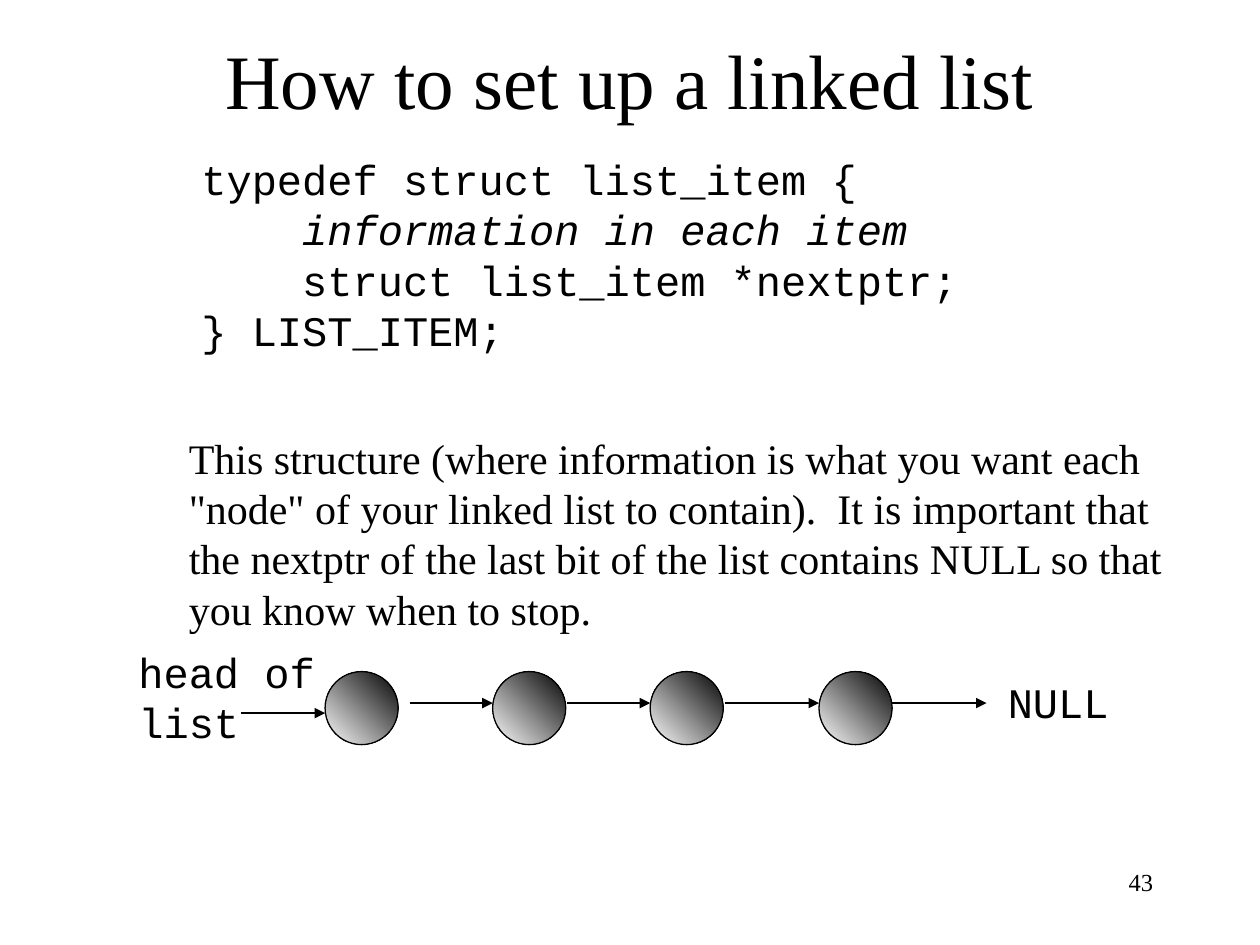
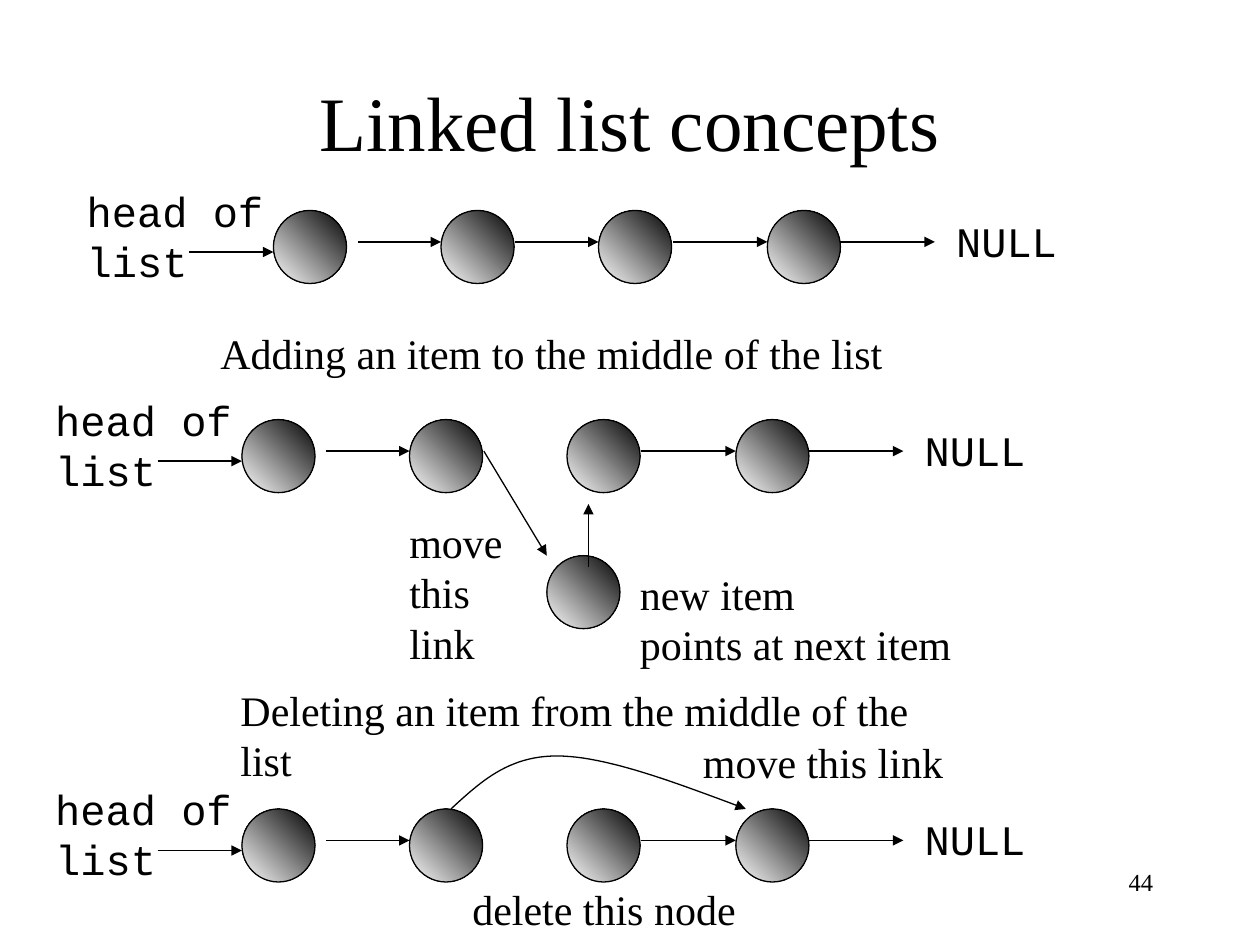
from lxml import etree
from pptx import Presentation
from pptx.dml.color import RGBColor
from pptx.enum import shapes, text
from pptx.oxml.ns import qn
from pptx.util import Inches, Pt

COLORS = {"ink": "000000", "shade_start": "000000", "shade_end": "FFFFFF"}
SERIF, MONO = "Times New Roman", "Courier New"

NODE_SIZE = 0.58
NODE_OFFSETS = (0, 1.33, 2.58, 3.92)
LINK_DROP = 0.25
# Start and end of each link, measured from the first node
LINKS = ((0.67, 1.33), (1.92, 2.58), (3.17, 3.92), (4.5, 5.25))


def color(name):
    return RGBColor.from_string(COLORS[name])


def add_text(slide, content, left, top, width, height, font=SERIF, size=24,
             align=text.PP_ALIGN.LEFT, anchor=text.MSO_ANCHOR.TOP,
             wrap=False, italic_lines=()):
    box = slide.shapes.add_textbox(*map(Inches, (left, top, width, height)))
    frame = box.text_frame
    frame.word_wrap = wrap
    frame.vertical_anchor = anchor
    for index, line in enumerate(content.split("\n")):
        paragraph = frame.paragraphs[0] if index == 0 else frame.add_paragraph()
        paragraph.alignment = align
        run = paragraph.add_run()
        run.text = line
        run.font.name = font
        run.font.size = Pt(size)
        run.font.italic = index in italic_lines
        run.font.color.rgb = color("ink")


def style_line(shape, arrow=False):
    shape.line.color.rgb = color("ink")
    shape.line.width = Pt(0.75)
    if arrow:
        line = shape.line._get_or_add_ln()
        etree.SubElement(line, qn("a:tailEnd"), type="triangle")


def add_arrow(slide, x1, y1, x2, y2):
    connector = slide.shapes.add_connector(
        shapes.MSO_CONNECTOR.STRAIGHT, *map(Inches, (x1, y1, x2, y2)))
    style_line(connector, arrow=True)
    etree.SubElement(connector._element.spPr, qn("a:effectLst"))


def add_node(slide, left, top):
    node = slide.shapes.add_shape(
        shapes.MSO_SHAPE.OVAL,
        *map(Inches, (left, top, NODE_SIZE, NODE_SIZE)))
    node.shadow.inherit = False
    node.fill.gradient()
    node.fill.gradient_angle = 225
    for stop, name in zip(node.fill.gradient_stops,
                          ("shade_start", "shade_end")):
        stop.color.rgb = color(name)
    style_line(node)


def bezier(p0, p1, p2, p3, steps=24):
    """Points along a cubic curve, without its start."""
    for step in range(1, steps + 1):
        t = step / steps
        weights = ((1 - t) ** 3, 3 * t * (1 - t) ** 2,
                   3 * t ** 2 * (1 - t), t ** 3)
        yield tuple(sum(w * p[axis] for w, p in zip(weights, (p0, p1, p2, p3)))
                    for axis in (0, 1))


def add_bypass(slide, left, top):
    """Curved arrow over the deleted node; left and top are its box."""
    halves = (((0, 0.42), (0.23, 0.21), (0.45, 0), (0.84, 0)),
              ((0.84, 0), (1.23, 0), (1.78, 0.21), (2.34, 0.42)))
    points = [halves[0][0]] + [p for half in halves for p in bezier(*half)]
    points = [(Inches(left + x), Inches(top + y)) for x, y in points]
    builder = slide.shapes.build_freeform(*points[0])
    builder.add_line_segments(points[1:], close=False)
    curve = builder.convert_to_shape()
    curve.shadow.inherit = False
    curve.fill.background()
    style_line(curve, arrow=True)


def add_linked_list(slide, left, top, removed_link=None):
    """Draw the list with its first node at left, top."""
    for offset in NODE_OFFSETS:
        add_node(slide, left + offset, top)
    link_y = top + LINK_DROP
    for index, (start, end) in enumerate(LINKS):
        if index != removed_link:
            add_arrow(slide, left + start, link_y, left + end, link_y)
    add_text(slide, "NULL", left + 5.32, top - 0.01, 1, 0.5, font=MONO)
    add_arrow(slide, left - 0.67, top + 0.33, left, top + 0.33)
    add_text(slide, "head of\nlist", left - 1.58, top - 0.25, 1.6, 0.9,
             font=MONO)


def add_insertion(slide, left, top):
    add_linked_list(slide, left, top, removed_link=1)
    add_arrow(slide, left + 1.92, top + LINK_DROP, left + 2.42, top + 1.08)
    add_node(slide, left + 2.42, top + 1.08)
    add_arrow(slide, left + 2.75, top + 1.17, left + 2.75, top + 0.67)
    add_text(slide, "new item\npoints at next item",
             left + 3.06, top + 1.13, 2.67, 0.9)
    add_text(slide, "move\nthis\nlink", left + 1.23, top + 0.72, 0.94, 1.3)


def add_deletion(slide, left, top):
    add_linked_list(slide, left, top, removed_link=1)
    add_bypass(slide, left + 1.66, top - 0.42)
    add_text(slide, "move this link", left + 3.56, top - 0.62, 2.11, 0.5)
    add_text(slide, "delete this node", left + 1.73, top + 0.54, 2.29, 0.5)


def new_slide(presentation, title, title_top, number):
    slide = presentation.slides.add_slide(presentation.slide_layouts[6])
    add_text(slide, title, 0.75, title_top, 8.5, 1.25, size=44, wrap=True,
             align=text.PP_ALIGN.CENTER, anchor=text.MSO_ANCHOR.MIDDLE)
    add_text(slide, str(number), 7.17, 6.83, 2.08, 0.5, size=14, wrap=True,
             align=text.PP_ALIGN.RIGHT)
    return slide


def build_setup_slide(presentation):
    slide = new_slide(presentation, "How to set up a linked list", 0, 43)
    add_text(slide, """typedef struct list_item {
    information in each item
    struct list_item *nextptr;
} LIST_ITEM;""", 1.5, 1.17, 6.2, 1.7, font=MONO, italic_lines=(1,))
    add_text(slide, """This structure (where information is what you want each
"node" of your linked list to contain).  It is important that
the nextptr of the last bit of the list contains NULL so that
you know when to stop.""", 1.4, 3.38, 7.94, 1.7)
    add_linked_list(slide, 2.58, 5.33)


def build_concepts_slide(presentation):
    slide = new_slide(presentation, "Linked list concepts", 0.33, 44)
    add_linked_list(slide, 2.17, 1.67)
    add_text(slide, "Adding an item to the middle of the list",
             1.65, 2.55, 5.46, 0.5)
    add_insertion(slide, 1.92, 3.33)
    add_text(slide, "Deleting an item from the middle of the list",
             1.81, 5.38, 5.99, 0.5)
    add_deletion(slide, 1.92, 6.42)


def main():
    presentation = Presentation()
    presentation.slide_width = Inches(10)
    presentation.slide_height = Inches(7.5)
    build_setup_slide(presentation)
    build_concepts_slide(presentation)
    presentation.save("out.pptx")


if __name__ == "__main__":
    main()
